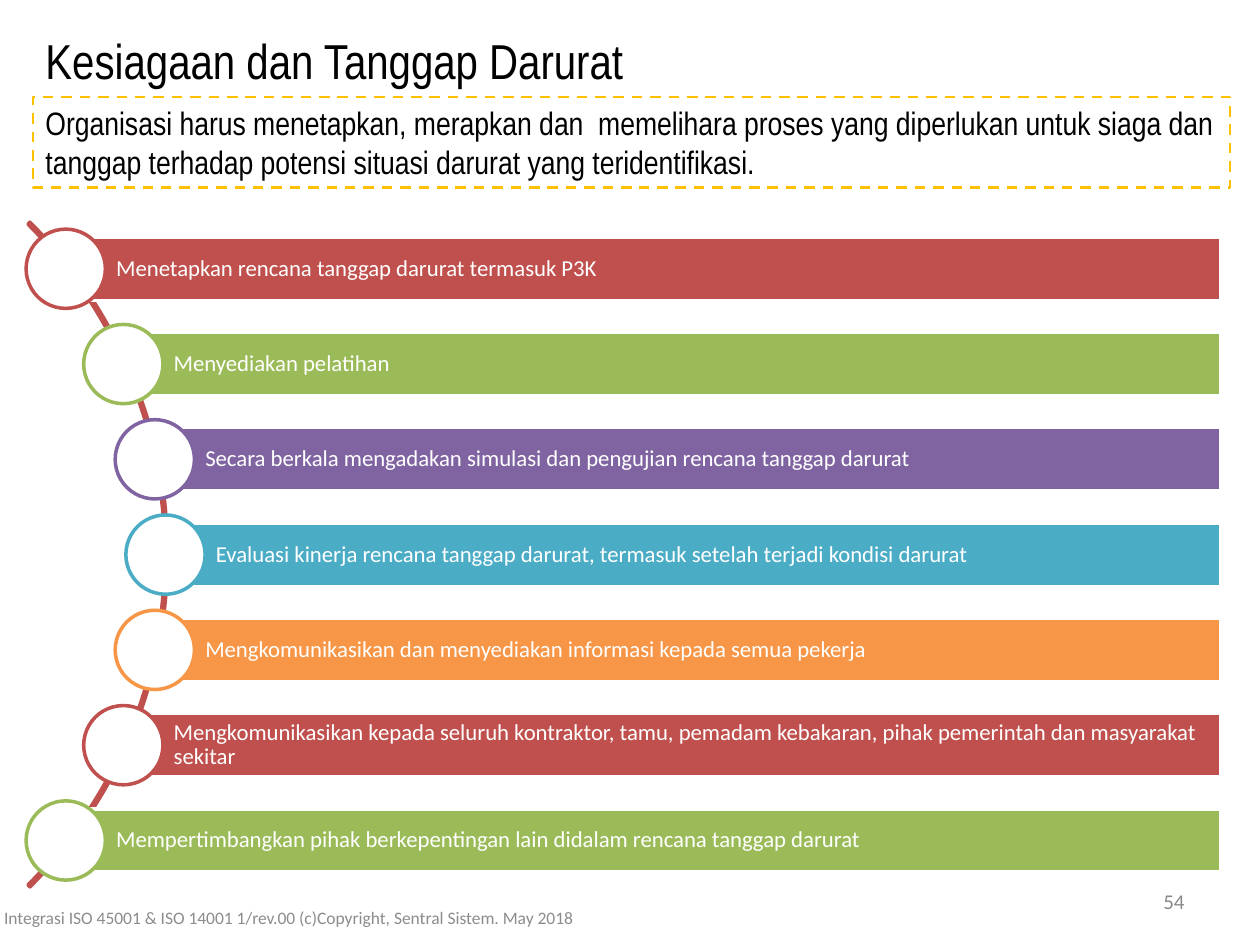
from dataclasses import dataclass

from pptx import Presentation
from pptx.dml.color import RGBColor
from pptx.enum.dml import MSO_LINE
from pptx.enum.shapes import MSO_SHAPE
from pptx.enum.text import MSO_ANCHOR, MSO_AUTO_SIZE, PP_ALIGN
from pptx.util import Pt


@dataclass(frozen=True)
class Theme:
    heading_font: str = "Arial Narrow"
    body_font: str = "Calibri"
    black: str = "000000"
    white: str = "FFFFFF"
    gold: str = "FFC000"
    red: str = "C0504D"
    green: str = "9BBB59"
    purple: str = "8064A2"
    blue: str = "4BACC6"
    orange: str = "F79646"
    number_grey: str = "898989"
    footer_grey: str = "8C8C8C"
    title_size: float = 28
    intro_size: float = 18.5
    step_size: float = 13
    number_size: float = 12
    footer_size: float = 10


THEME = Theme()

STEPS = [
    ("Menetapkan rencana tanggap darurat termasuk P3K", THEME.red),
    ("Menyediakan pelatihan", THEME.green),
    ("Secara berkala mengadakan simulasi dan pengujian rencana tanggap darurat", THEME.purple),
    ("Evaluasi kinerja rencana tanggap darurat, termasuk setelah terjadi kondisi darurat", THEME.blue),
    ("Mengkomunikasikan dan menyediakan informasi kepada semua pekerja", THEME.orange),
    ("Mengkomunikasikan kepada seluruh kontraktor, tamu, pemadam kebakaran, "
     "pihak pemerintah dan masyarakat sekitar", THEME.red),
    ("Mempertimbangkan pihak berkepentingan lain didalam rencana tanggap darurat", THEME.green),
]

# Step geometry in points; bar starts are listed from the middle row outwards
BAR_STARTS = [94.6, 88.5, 70.5, 37.6]
BAR_RIGHT = 697.7
BAR_HEIGHT = 36.2
FIRST_CENTRE = 153.6
ROW_PITCH = 54.45
CIRCLE_SIZE = 45.3


def write_text(box, text, *, size, color, font=THEME.body_font, align=PP_ALIGN.LEFT,
               anchor=MSO_ANCHOR.TOP, insets=(7.2, 3.6, 7.2, 3.6), spacing=None, grow=False):
    frame = box.text_frame
    frame.word_wrap = True
    frame.auto_size = MSO_AUTO_SIZE.SHAPE_TO_FIT_TEXT if grow else MSO_AUTO_SIZE.NONE
    frame.vertical_anchor = anchor
    frame.margin_left, frame.margin_top, frame.margin_right, frame.margin_bottom = map(Pt, insets)
    para = frame.paragraphs[0]
    para.alignment = align
    if spacing:
        para.line_spacing = spacing
    span = para.add_run()
    span.text = text
    span.font.name = font
    span.font.size = Pt(size)
    span.font.color.rgb = RGBColor.from_string(color)


def add_label(page, position, text, **text_format):
    box = page.shapes.add_textbox(*map(Pt, position))
    write_text(box, text, **text_format)


def add_figure(shapes, kind, position, *, line, fill=None, width=2):
    figure = shapes.add_shape(kind, *map(Pt, position))
    figure.shadow.inherit = False
    if fill:
        figure.fill.solid()
        figure.fill.fore_color.rgb = RGBColor.from_string(fill)
    else:
        figure.fill.background()
    figure.line.color.rgb = RGBColor.from_string(line)
    figure.line.width = Pt(width)
    return figure


def add_intro(page):
    box = add_figure(page.shapes, MSO_SHAPE.RECTANGLE, (18.9, 55.4, 684, 52),
                     line=THEME.gold, width=1.5)
    box.line.dash_style = MSO_LINE.DASH
    write_text(box, "Organisasi harus menetapkan, merapkan dan  memelihara proses yang diperlukan "
               "untuk siaga dan tanggap terhadap potensi situasi darurat yang teridentifikasi.",
               size=THEME.intro_size, color=THEME.black, font=THEME.heading_font, grow=True)


def add_arc(shapes):
    arc = add_figure(shapes, MSO_SHAPE.BLOCK_ARC, (-441.4, 48.3, 537.2, 537.2), line=THEME.red)
    # Start and end angle (315 and 45 degrees), then band thickness
    for index, value in enumerate((189, 27, 0.003)):
        arc.adjustments[index] = value


def add_step(shapes, row, text, color):
    left = BAR_STARTS[abs(row - len(STEPS) // 2)]
    centre = FIRST_CENTRE + row * ROW_PITCH
    bar = add_figure(shapes, MSO_SHAPE.RECTANGLE,
                     (left, centre - BAR_HEIGHT / 2, BAR_RIGHT - left, BAR_HEIGHT),
                     line=THEME.white, fill=color)
    write_text(bar, text, size=THEME.step_size, color=THEME.white, anchor=MSO_ANCHOR.MIDDLE,
               insets=(28.8, 2.6, 2.6, 2.6), spacing=0.9)
    add_figure(shapes, MSO_SHAPE.OVAL,
               (left - CIRCLE_SIZE / 2, centre - CIRCLE_SIZE / 2, CIRCLE_SIZE, CIRCLE_SIZE),
               line=color, fill=THEME.white)


def main():
    deck = Presentation()
    deck.slide_width, deck.slide_height = Pt(720), Pt(540)
    page = deck.slides.add_slide(deck.slide_layouts[6])

    add_intro(page)

    # Curved list of steps
    diagram = page.shapes.add_group_shape()
    add_arc(diagram.shapes)
    for row, (text, color) in enumerate(STEPS):
        add_step(diagram.shapes, row, text, color)

    # Title, slide number and footer
    add_label(page, (18.9, 13.7, 569.5, 41), "Kesiagaan dan Tanggap Darurat",
              size=THEME.title_size, color=THEME.black, font=THEME.heading_font, grow=True)
    add_label(page, (516, 500.5, 168, 28.75), "54", size=THEME.number_size,
              color=THEME.number_grey, align=PP_ALIGN.RIGHT, anchor=MSO_ANCHOR.MIDDLE)
    add_label(page, (-13.7, 510, 357, 28.75),
              "Integrasi ISO 45001 & ISO 14001 1/rev.00 (c)Copyright, Sentral Sistem. May 2018",
              size=THEME.footer_size, color=THEME.footer_grey, align=PP_ALIGN.CENTER,
              anchor=MSO_ANCHOR.MIDDLE)

    deck.save("out.pptx")


if __name__ == "__main__":
    main()
